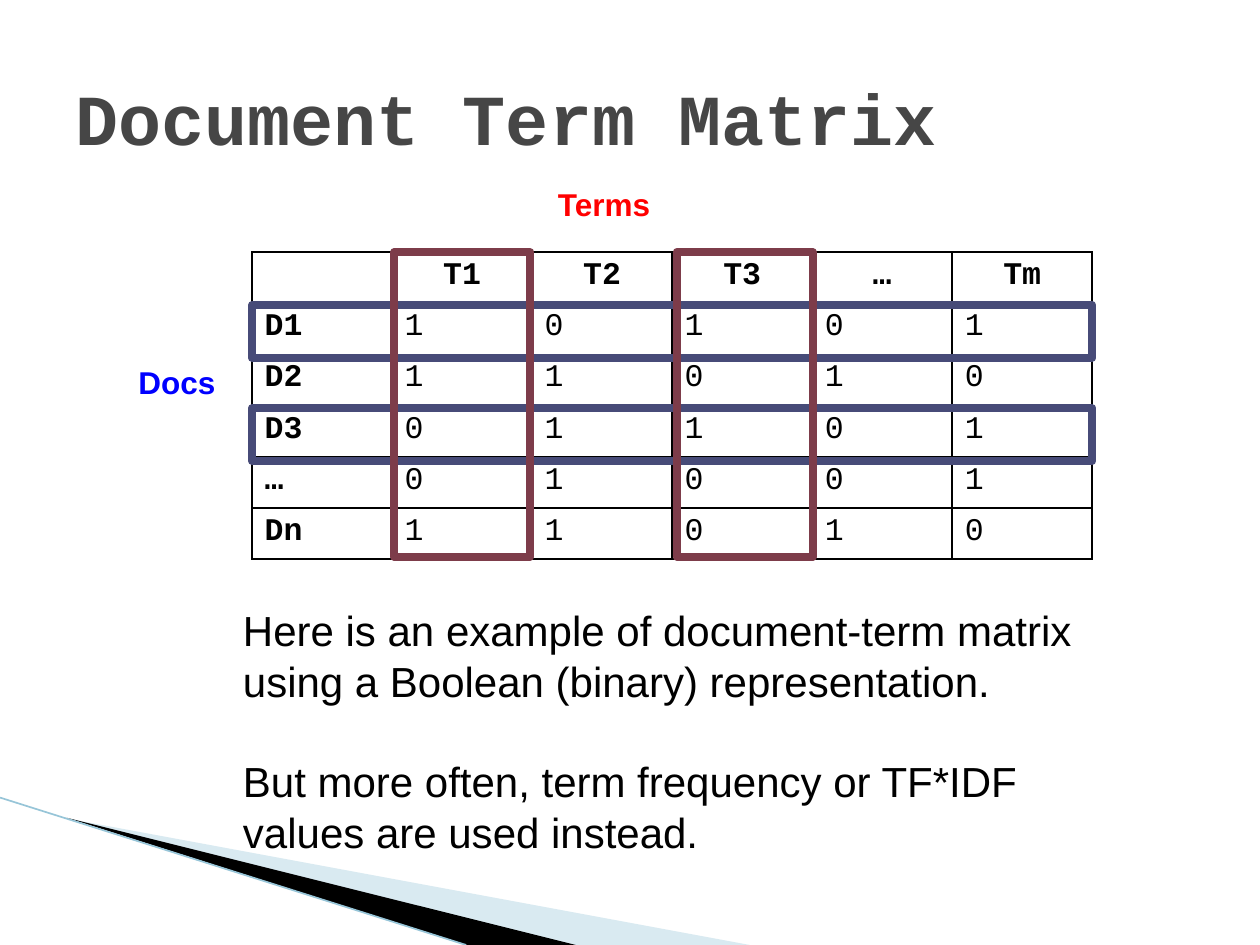
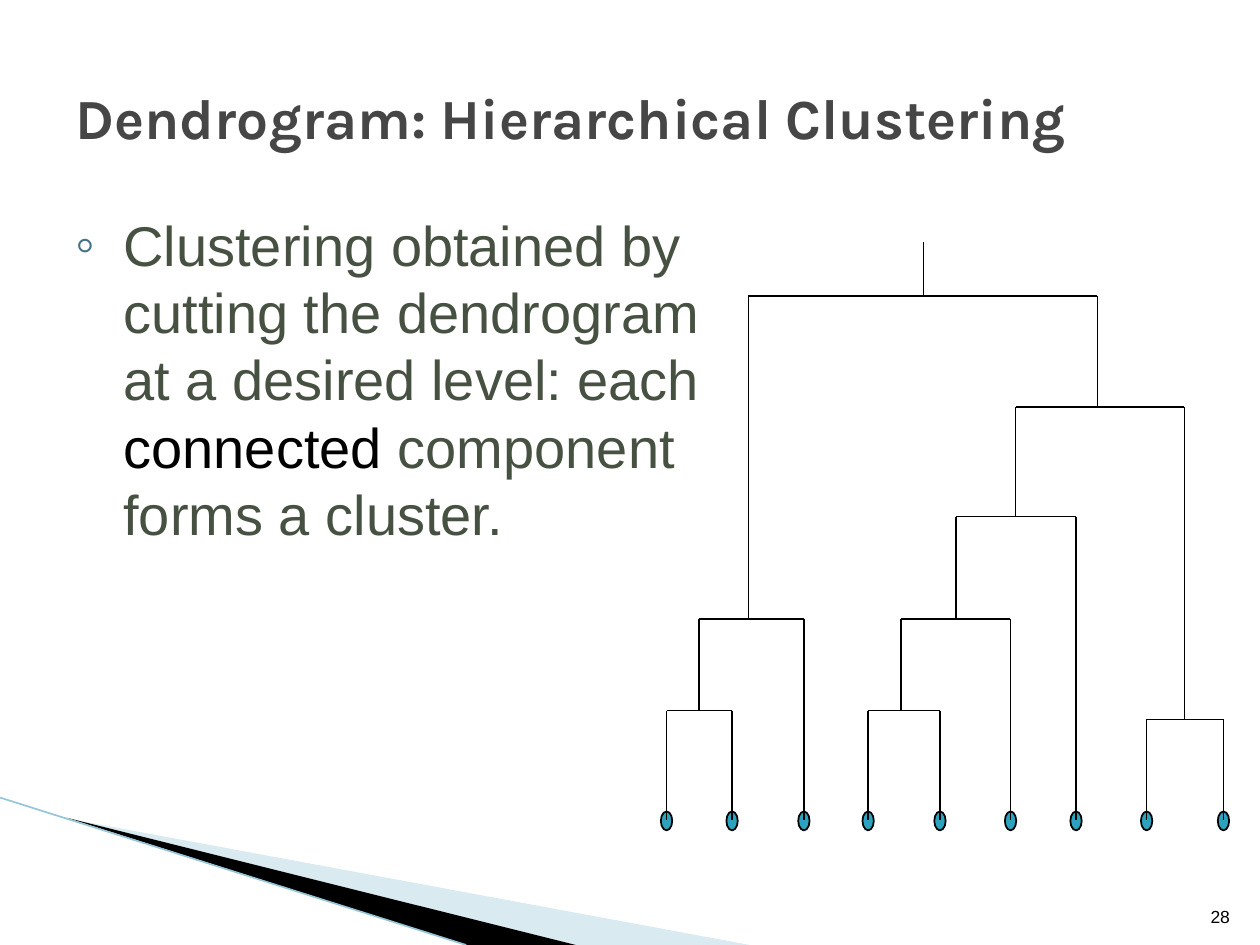
from lxml.etree import SubElement
from pptx import Presentation
from pptx.dml.color import RGBColor
from pptx.enum.shapes import MSO_CONNECTOR, MSO_SHAPE
from pptx.enum.text import MSO_ANCHOR, MSO_AUTO_SIZE, PP_ALIGN
from pptx.oxml.ns import qn
from pptx.util import Inches, Pt

BLACK = RGBColor(0, 0, 0)
GREY = RGBColor(0x46, 0x46, 0x46)
GREEN = RGBColor(0x46, 0x51, 0x42)
RED = RGBColor(0xFF, 0, 0)
BLUE = RGBColor(0, 0, 0xFF)
NAVY = RGBColor(0x47, 0x4B, 0x78)
WINE = RGBColor(0x7D, 0x3C, 0x4A)
TEAL = RGBColor(0x2D, 0xA2, 0xBF)
STEEL = RGBColor(0x43, 0x70, 0x85)
PALE = RGBColor(0xA0, 0xCB, 0xDC)
MIST = RGBColor(0x97, 0xC5, 0xD8)
SANS, MONO, HEAD = "Arial", "Courier New", "Karla"

GRID = [
    ["", "T1", "T2", "T3", "…", "Tm"],
    ["D1", "1", "0", "1", "0", "1"],
    ["D2", "1", "1", "0", "1", "0"],
    ["D3", "0", "1", "1", "0", "1"],
    ["…", "0", "1", "0", "0", "1"],
    ["Dn", "1", "1", "0", "1", "0"],
]

# A leaf is its x; a merge is (x, y, left branch, right branch).
LEAF_Y = 6.51
PAIR = (5.55, 5.64, 5.29, 5.81)
TRIO = (5.94, 4.91, PAIR, 6.38)
MID = (7.15, 5.64, 6.89, 7.46)
MID = (7.59, 4.91, MID, 8.02)
MID = (8.06, 4.1, MID, 8.54)
LAST = (9.4, 5.71, 9.1, 9.71)
TREE = (7.33, 2.35, TRIO, (8.71, 3.23, MID, LAST))


def box(*sizes):
    return [Inches(size) for size in sizes]


class Deck:
    def __init__(self):
        self.prs = Presentation()
        self.prs.slide_width, self.prs.slide_height = box(10, 7.5)

    def open(self, layout, title, font, size):
        """Start a slide with a title in the shared style."""
        self.slide = self.prs.slides.add_slide(self.prs.slide_layouts[layout])
        self.home = self.slide.shapes
        frame = self.place(self.home.title, 0.5, 0.3, 9, 1.25)
        frame.vertical_anchor = MSO_ANCHOR.MIDDLE
        para = frame.paragraphs[0]
        para.alignment = PP_ALIGN.LEFT
        self.run(para, title, size, GREY, font, True)

    def place(self, holder, *at):
        holder.left, holder.top, holder.width, holder.height = box(*at)
        frame = holder.text_frame
        frame.auto_size = MSO_AUTO_SIZE.NONE
        return frame

    def run(self, para, text, size, color=BLACK, name=SANS, bold=False):
        run = para.add_run()
        run.text = text
        font = run.font
        font.size, font.name, font.bold = Pt(size), name, bold
        font.color.rgb = color

    def text(self, at, lines, size, color=BLACK, bold=False, wrap=True, gap=0):
        frame = self.home.add_textbox(*box(*at)).text_frame
        frame.word_wrap = wrap
        for i, line in enumerate(lines):
            para = frame.add_paragraph() if i else frame.paragraphs[0]
            para.space_before = Pt(gap if i else 0)
            self.run(para, line, size, color, bold=bold)
        return frame

    def bullet(self, at, parts, size):
        frame = self.place(self.slide.placeholders[1], *at)
        para = frame.paragraphs[0]
        para.space_before = Pt(3.2)
        props = para._p.get_or_add_pPr()
        props.set("marL", str(Inches(0.38)))
        props.set("indent", str(-Inches(0.38)))
        tint = SubElement(props, qn("a:buClr"))
        SubElement(tint, qn("a:srgbClr"), val=str(STEEL))
        SubElement(props, qn("a:buChar"), char="◦")
        for text, color in parts:
            self.run(para, text, size, color)

    def shape(self, kind, at, line, width, fill=None):
        shape = self.home.add_shape(kind, *box(*at))
        shape.shadow.inherit = False
        shape.line.color.rgb, shape.line.width = line, Pt(width)
        if fill is None:
            shape.fill.background()
        else:
            shape.fill.solid()
            shape.fill.fore_color.rgb = fill

    def line(self, x1, y1, x2, y2, color=BLACK, width=1):
        line = self.home.add_connector(MSO_CONNECTOR.STRAIGHT, *box(x1, y1, x2, y2))
        line.line.color.rgb, line.line.width = color, Pt(width)
        SubElement(line.element.spPr, qn("a:effectLst"))
        return line

    def wedge(self, points, color, alpha=100):
        spots = [box(*point) for point in points]
        pen = self.home.build_freeform(*spots[0], scale=1.0)
        pen.add_line_segments(spots[1:], close=True)
        shape = pen.convert_to_shape()
        shape.shadow.inherit = False
        shape.line.fill.background()
        shape.fill.solid()
        shape.fill.fore_color.rgb = color
        if alpha < 100:
            tint = shape.element.spPr.find(".//" + qn("a:srgbClr"))
            SubElement(tint, qn("a:alpha"), val=str(alpha * 1000))
        return shape

    def bands(self):
        """Draw the corner bands and move them to the slide master."""
        parts = [
            self.wedge([(0.55, 6.5), (5.95, 7.5), (4.56, 7.5)], PALE, 40),
            self.wedge([(0.53, 6.49), (4.57, 7.5), (3.7, 7.5)], BLACK),
            self.line(0, 6.33, 3.7, 7.5, MIST, 0.95),
        ]
        tree = self.prs.slide_master.shapes.element
        for i, part in enumerate(parts):
            part.element[0][0].set("id", str(20 + i))
            tree.insert(2 + i, part.element)

    def table(self, at, rows):
        frame = self.home.add_table(len(rows), len(rows[0]), *box(*at))
        table = frame.table
        table.first_row = table.horz_banding = False
        for r, row in enumerate(rows):
            for c, text in enumerate(row):
                cell = table.cell(r, c)
                para = cell.text_frame.paragraphs[0]
                if r == 0:
                    para.alignment = PP_ALIGN.CENTER
                if text:
                    self.run(para, text, 18, BLACK, MONO, r == 0 or c == 0)
                self.edge(cell)
                cell.fill.background()

    def edge(self, cell):
        props = cell._tc.get_or_add_tcPr()
        for side in ("lnL", "lnR", "lnT", "lnB"):
            line = SubElement(props, qn("a:" + side), w=str(Pt(1)))
            fill = SubElement(line, qn("a:solidFill"))
            SubElement(fill, qn("a:srgbClr"), val=str(BLACK))

    def leaves(self, node):
        if isinstance(node, tuple):
            for twig in node[2:]:
                self.leaves(twig)
        else:
            at = (node - 0.045, LEAF_Y - 0.07, 0.09, 0.15)
            self.shape(MSO_SHAPE.OVAL, at, BLACK, 1, TEAL)

    def branch(self, node, top):
        """Draw the stem from top down to a node, then all below it."""
        if not isinstance(node, tuple):
            self.line(node, top, node, LEAF_Y)
            return
        x, y, *twigs = node
        self.line(x, top, x, y)
        ends = [twig[0] if isinstance(twig, tuple) else twig for twig in twigs]
        self.line(ends[0], y, ends[1], y)
        for twig in twigs:
            self.branch(twig, y)


def matrix(deck):
    deck.open(5, "Document Term Matrix", MONO, 41)
    deck.bands()
    deck.table((2, 2, 6.67, 2.44), GRID)
    deck.text((4.33, 1.42, 0.94, 0.4), ["Terms"], 18, RED, True, False)
    deck.text((1, 2.83, 0.82, 0.4), ["Docs"], 18, BLUE, True, False)
    for top in (2.42, 3.24):
        deck.shape(MSO_SHAPE.RECTANGLE, (2, top, 6.67, 0.42), NAVY, 4.5)
    for left in (3.13, 5.37):
        deck.shape(MSO_SHAPE.RECTANGLE, (left, 2, 1.08, 2.42), WINE, 4.5)
    deck.text((1.83, 4.75, 7.25, 2.12), [
        "Here is an example of document-term matrix using a Boolean (binary) representation.",
        "But more often, term frequency or TF*IDF values are used instead.",
    ], 24, gap=28.8)


def cluster(deck):
    deck.open(1, "Dendrogram: Hierarchical Clustering", HEAD, 32.4)
    deck.bullet((0.5, 1.62, 5.25, 4.95), [
        ("Clustering obtained by cutting the dendrogram at a desired level: each ", GREEN),
        ("connected", BLACK),
        (" component forms a cluster.", GREEN),
    ], 32)
    page = deck.text((9.46, 7.01, 0.4, 0.4), ["28"], 10)
    page.vertical_anchor = MSO_ANCHOR.BOTTOM
    page.paragraphs[0].alignment = PP_ALIGN.RIGHT
    deck.home = deck.slide.shapes.add_group_shape().shapes
    deck.leaves(TREE)
    deck.branch(TREE, 1.92)


def main():
    deck = Deck()
    matrix(deck)
    cluster(deck)
    deck.prs.save("out.pptx")


if __name__ == "__main__":
    main()
